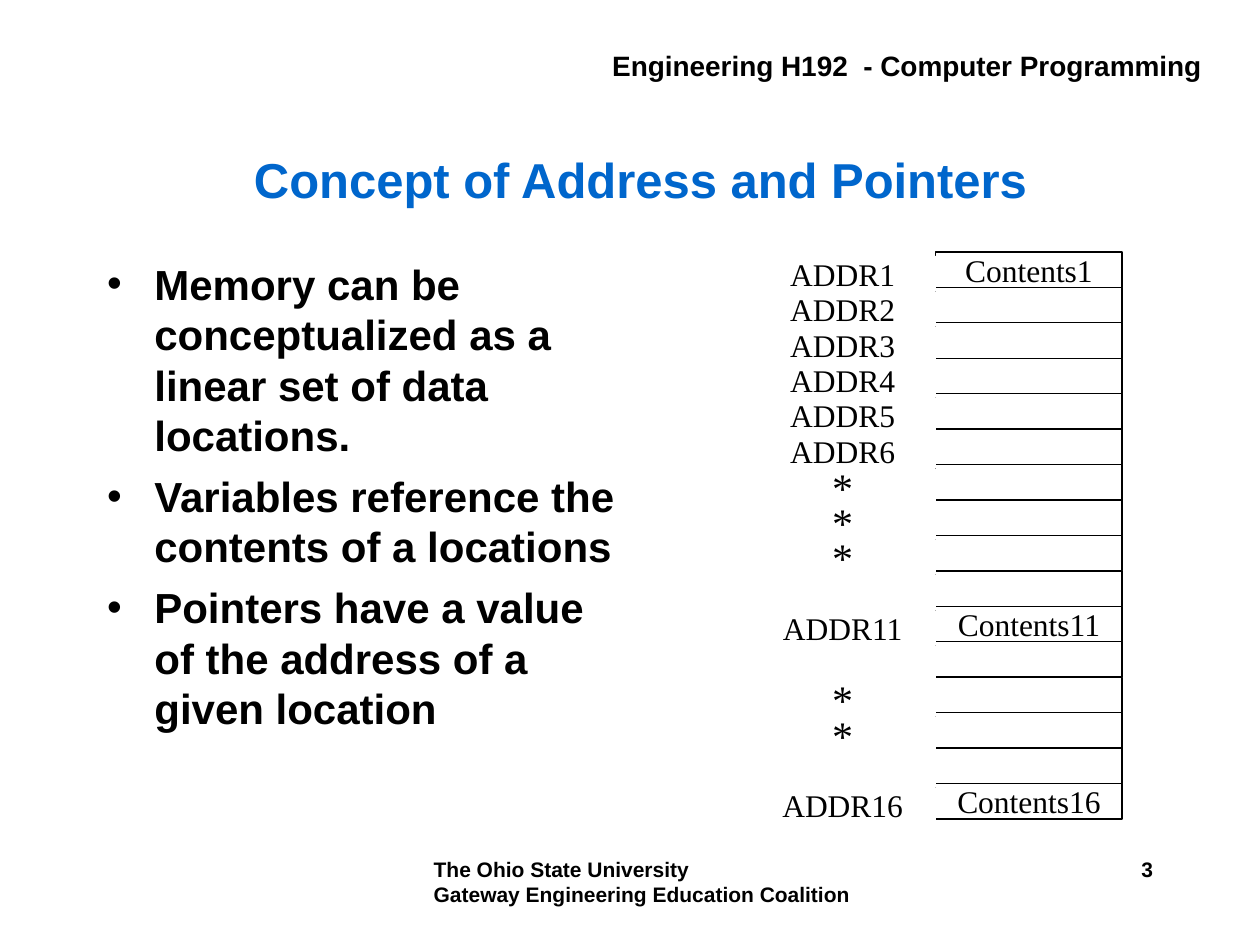
from pptx import Presentation
from pptx.dml.color import RGBColor
from pptx.enum.shapes import MSO_SHAPE
from pptx.enum.text import MSO_ANCHOR, MSO_AUTO_SIZE, PP_ALIGN
from pptx.oxml import parse_xml
from pptx.oxml.ns import nsdecls
from pptx.util import Emu, Pt

RECTANGLE = MSO_SHAPE.RECTANGLE
TOP, MIDDLE = MSO_ANCHOR.TOP, MSO_ANCHOR.MIDDLE
LEFT, CENTER, RIGHT = PP_ALIGN.LEFT, PP_ALIGN.CENTER, PP_ALIGN.RIGHT
NO_AUTOFIT = MSO_AUTO_SIZE.NONE

EMU_PER_PX = 9525  # 96 px to the inch
SANS, SERIF = "Arial", "Times New Roman"
BLACK, WHITE, BLUE = "000000", "FFFFFF", "0066CC"

ROWS = 16
ROW_HEIGHT, COLUMN_WIDTH = 27, 142
ADDRESSES = {row: f"ADDR{row}" for row in (1, 2, 3, 4, 5, 6, 11, 16)}
ADDRESSES.update({row: "*" for row in (7, 8, 9, 13, 14)})
CONTENTS = {row: f"Contents{row}" for row in (1, 11, 16)}
POINTS = [
    "Memory can be conceptualized as a linear set of data locations.",
    "Variables reference the contents of a locations",
    "Pointers have a value of the address of a given location",
]


def px(length):
    return Emu(length * EMU_PER_PX)


def color(hex_code):
    return RGBColor.from_string(hex_code)


def place(shape, left, top, width, height):
    shape.left, shape.top = px(left), px(top)
    shape.width, shape.height = px(width), px(height)


def write(frame, lines, size, font=SANS, ink=BLACK, bold=True,
          align=LEFT, anchor=TOP, wrap=True):
    frame.auto_size = NO_AUTOFIT
    frame.word_wrap = wrap
    frame.vertical_anchor = anchor
    for index, line in enumerate(lines):
        paragraph = frame.add_paragraph() if index else frame.paragraphs[0]
        paragraph.alignment = align
        run = paragraph.add_run()
        run.text = line
        run.font.name, run.font.size, run.font.bold = font, Pt(size), bold
        run.font.color.rgb = color(ink)


def add_label(slide, box, lines, size, **style):
    label = slide.shapes.add_textbox(*map(px, box))
    write(label.text_frame, lines, size, **style)


def add_bullets(body, points):
    write(body.text_frame, points, 24)
    for index, paragraph in enumerate(body.text_frame.paragraphs):
        properties = paragraph._p.get_or_add_pPr()
        properties.set("marL", str(px(36)))
        properties.set("indent", str(px(-36)))
        properties.append(parse_xml(f'<a:buChar {nsdecls("a")} char="•"/>'))
        paragraph.space_before = Pt(6 if index else 0)


def add_memory_column(slide, left, top, texts, outlined):
    for row in range(1, ROWS + 1):
        cell = slide.shapes.add_shape(
            RECTANGLE, px(left), px(top + (row - 1) * ROW_HEIGHT),
            px(COLUMN_WIDTH), px(ROW_HEIGHT))
        cell.shadow.inherit = False
        cell.fill.solid()
        cell.fill.fore_color.rgb = color(WHITE)
        if outlined:
            cell.line.color.rgb = color(BLACK)
            cell.line.width = Pt(0.75)
        else:
            cell.line.fill.background()
        if row in texts:
            write(cell.text_frame, [texts[row]], 24 if texts[row] == "*" else 18,
                  font=SERIF, bold=False, align=CENTER, anchor=MIDDLE, wrap=False)


def main():
    prs = Presentation()
    prs.slide_width, prs.slide_height = px(960), px(720)
    slide = prs.slides.add_slide(prs.slide_layouts[1])
    title, body = slide.placeholders

    # Course header and footer
    add_label(slide, (457, 32, 468, 36),
              ["Engineering H192  - Computer Programming"], 16, wrap=False)
    add_label(slide, (321, 648, 336, 48),
              ["The Ohio State University",
               "Gateway Engineering Education Coalition"], 12, wrap=False)

    # Title and bullet list
    place(title, 80, 112, 816, 48)
    write(title.text_frame, ["Concept of Address and Pointers"], 28,
          ink=BLUE, align=CENTER, anchor=MIDDLE)
    place(body, 72, 192, 408, 432)
    add_bullets(body, POINTS)

    # Memory diagram: the address labels cover the left edge of the cells
    add_memory_column(slide, 713, 192, CONTENTS, outlined=True)
    add_memory_column(slide, 571, 195, ADDRESSES, outlined=False)

    # Page number
    add_label(slide, (688, 648, 200, 48), ["3"], 12, align=RIGHT)

    prs.save("out.pptx")


if __name__ == "__main__":
    main()
